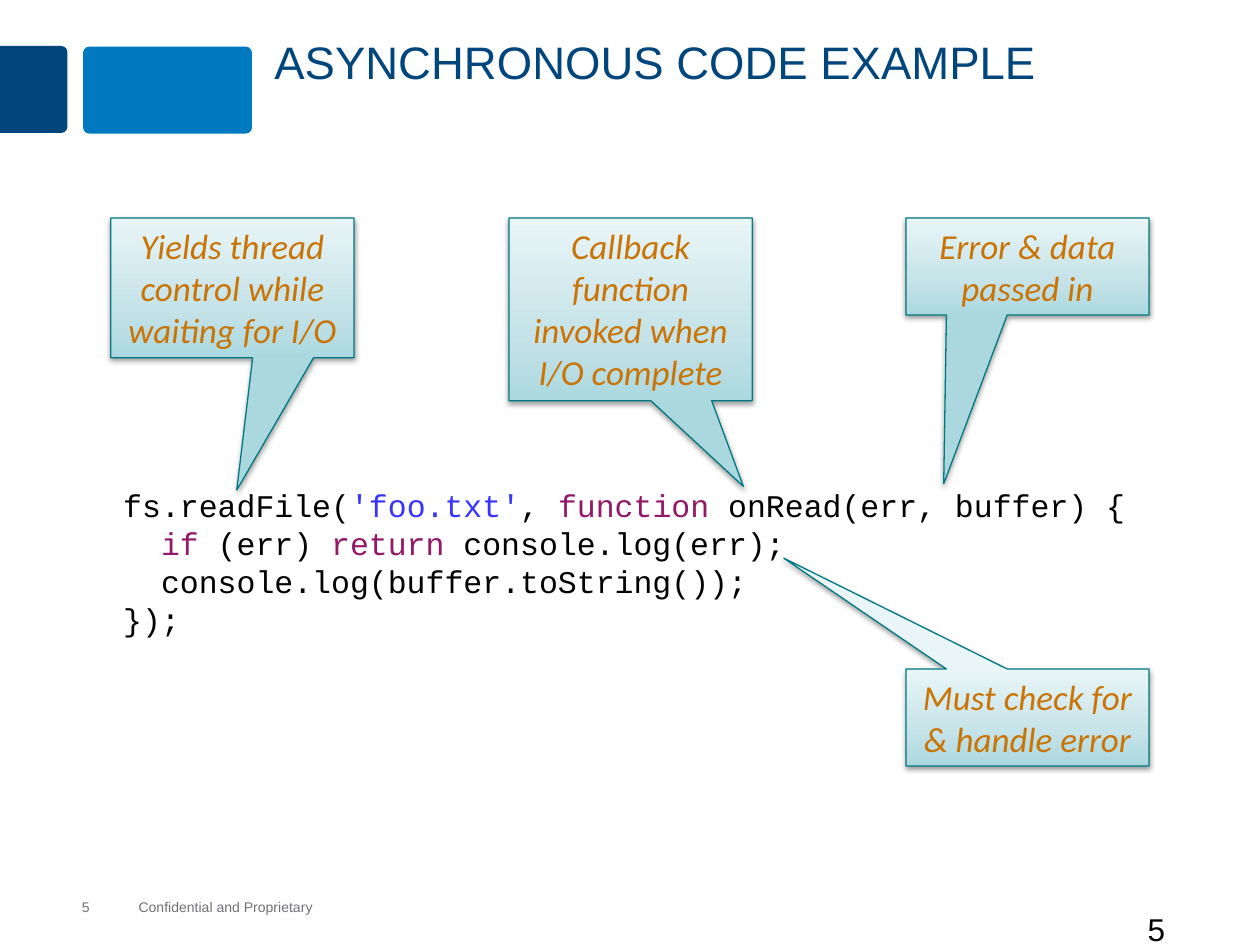
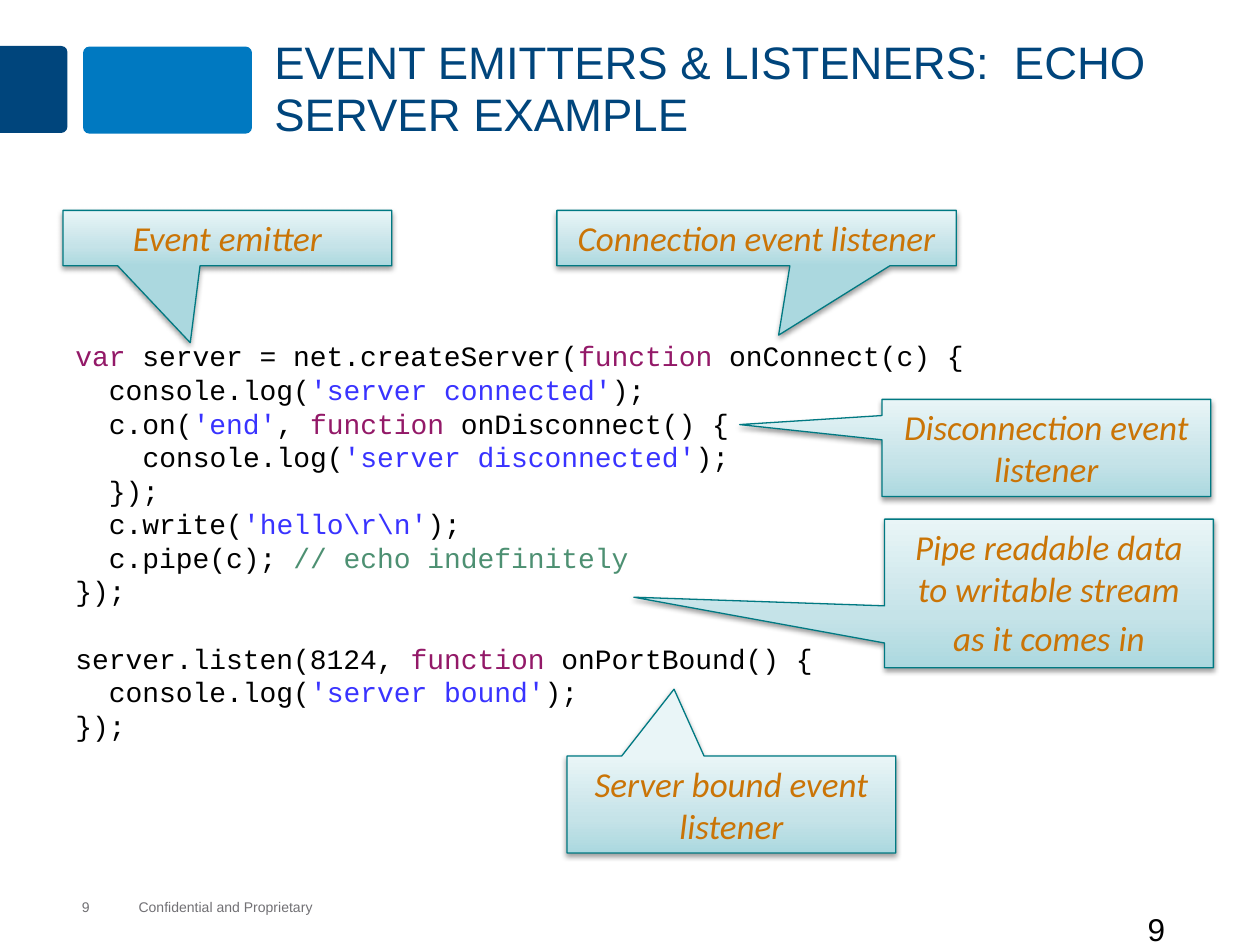
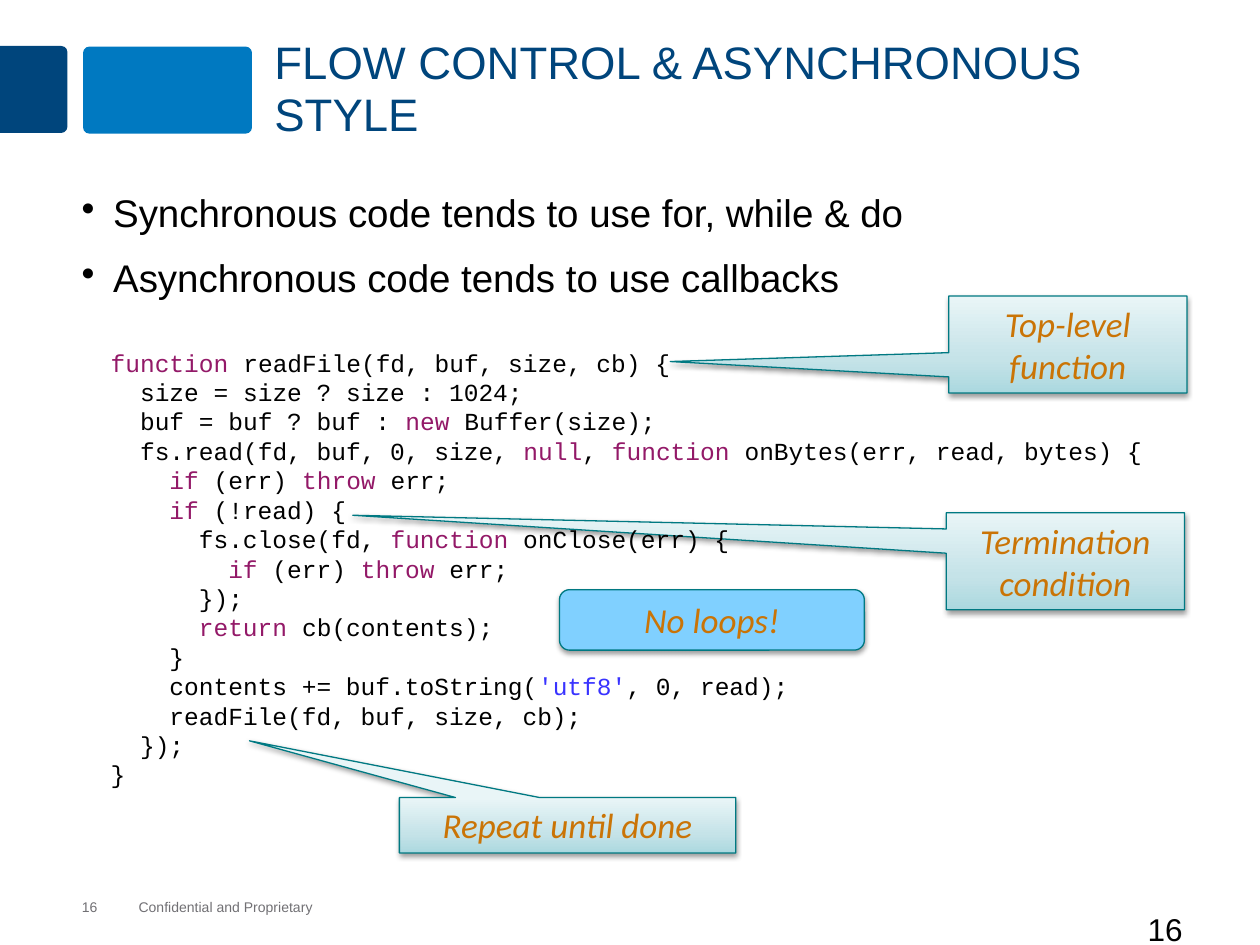
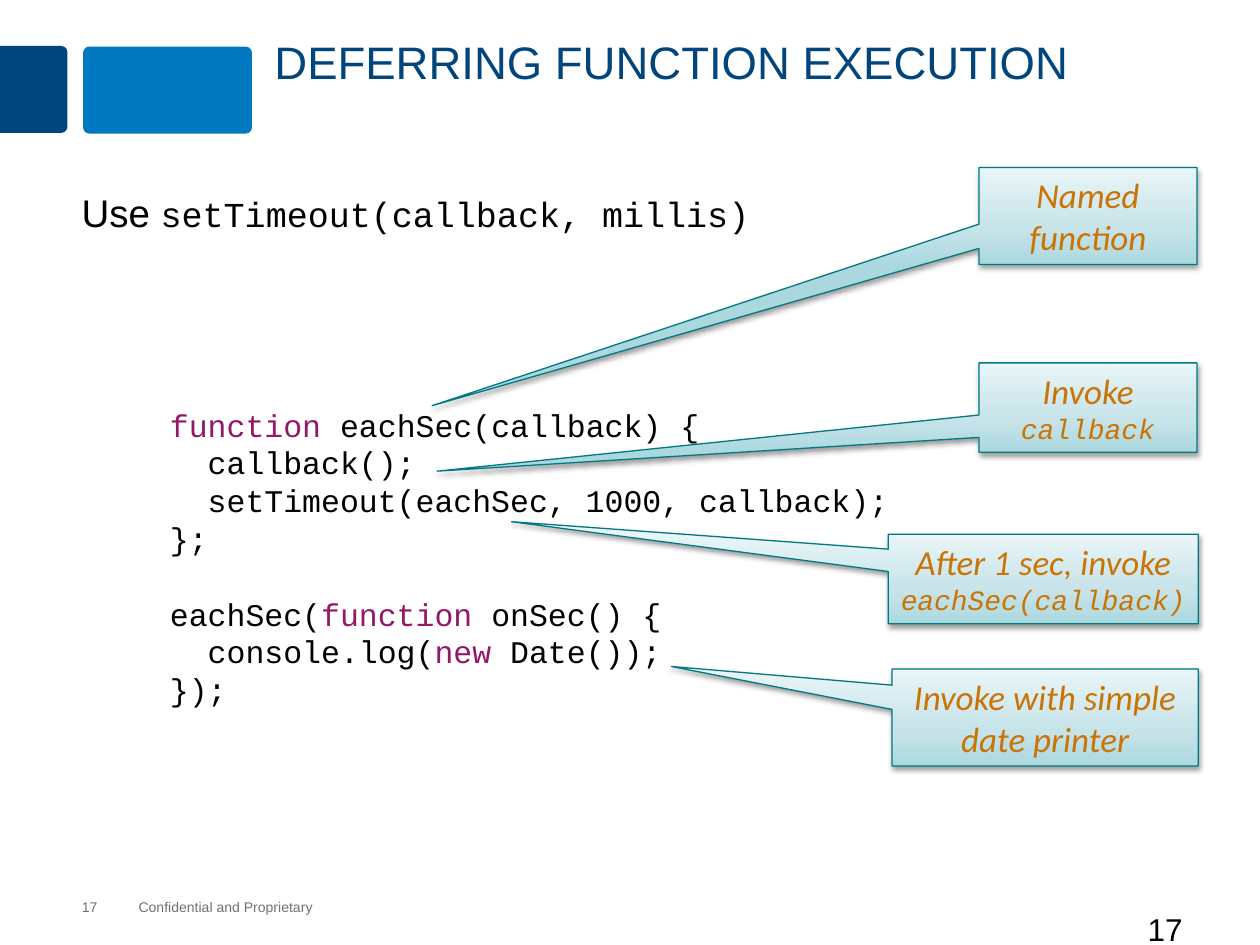
import copy
from dataclasses import dataclass

import pptx
import pptx.dml.color
import pptx.enum.shapes
import pptx.enum.text
import pptx.oxml
import pptx.oxml.ns
import pptx.util
from pptx.util import Inches

SHAPE = pptx.enum.shapes.MSO_SHAPE
ANCHOR = pptx.enum.text.MSO_ANCHOR
ALIGN = pptx.enum.text.PP_ALIGN
FIT = pptx.enum.text.MSO_AUTO_SIZE
qn = pptx.oxml.ns.qn

# Shared look
SANS, HAND, MONO = "Arial", "Calibri", "Courier New"
NAVY, BLUE, SKY, TEAL = "00457C", "0079C1", "80D0FF", "007982"
BLACK, GREY, ORANGE = "000000", "717074", "CA7406"
KEYWORD, STRING, COMMENT = "931968", "3933FF", "4D9072"
CALLOUT_STOPS = [(0, "ABD8DF"), (0.35, "C5E3E8"), (1, "E9F5F7")]
KEYWORDS = {"var", "function", "if", "return", "throw", "new", "null"}
LINE_FACTOR = 1.2   # line height of the code font, in ems
CHAR_FACTOR = 0.6   # character width of the code font, in ems


@dataclass
class Box:
    left: float
    top: float
    width: float
    height: float

    def lengths(self) -> list:
        return [Inches(v) for v in (self.left, self.top, self.width, self.height)]


@dataclass
class Callout:
    box: Box
    tip: tuple[float, float]
    paragraphs: list[str]  # odd pieces between bars are set as code


def rgb(value: str):
    return pptx.dml.color.RGBColor.from_string(value)


def add_run(p, text: str, *, size: float, font: str = SANS, color: str = BLACK,
            italic: bool = False) -> None:
    r = p.add_run()
    r.text = text
    r.font.size = pptx.util.Pt(size)
    r.font.name = font
    r.font.color.rgb = rgb(color)
    r.font.italic = italic or None


def new_paragraph(tf, first: bool):
    return tf.paragraphs[0] if first else tf.add_paragraph()


def text_frame(s, box: Box, *, wrap: bool = True, grow: bool = False):
    tf = s.shapes.add_textbox(*box.lengths()).text_frame
    tf.word_wrap = wrap
    tf.auto_size = FIT.SHAPE_TO_FIT_TEXT if grow else FIT.NONE
    return tf


# Frame of every slide
def add_block(s, kind, box: Box, color: str, *adjustments: float):
    sp = s.shapes.add_shape(kind, *box.lengths())
    sp.shadow.inherit = False
    sp.fill.solid()
    sp.fill.fore_color.rgb = rgb(color)
    sp.line.fill.background()
    for i, value in enumerate(adjustments):
        sp.adjustments[i] = value
    return sp


def add_footer(s, box: Box, text: str, wrap: bool) -> None:
    tf = text_frame(s, box, wrap=wrap, grow=True)
    tf.margin_left = tf.margin_right = tf.margin_top = tf.margin_bottom = 0
    tf.vertical_anchor = ANCHOR.MIDDLE
    add_run(tf.paragraphs[0], text, size=8, color=GREY)


def new_slide(prs, number: int, title: str):
    s = prs.slides.add_slide(prs.slide_layouts[6])
    tab = add_block(s, SHAPE.ROUND_2_SAME_RECTANGLE, Box(-0.08, 0.44, 0.69, 0.54),
                    NAVY, 0.09, 0)
    tab.rotation = 90
    add_block(s, SHAPE.ROUNDED_RECTANGLE, Box(0.66, 0.37, 1.34, 0.69), BLUE, 0.07)
    add_footer(s, Box(1.1, 7.13, 1.4, 0.13), "Confidential and Proprietary", False)
    add_footer(s, Box(0.65, 7.13, 0.63, 0.13), str(number), True)

    p = text_frame(s, Box(2.08, 0.25, 7.67, 0.91)).paragraphs[0]
    p.line_spacing = 0.95
    add_run(p, title, size=26, color=NAVY)
    p = text_frame(s, Box(9.01, 7.17, 0.99, 0.5)).paragraphs[0]
    add_run(p, str(number), size=18)
    return s


# Body text
def add_body(s, lines: list[str], bullets: bool) -> None:
    tf = text_frame(s, Box(0.55, 1.48, 8.87, 5.27))
    for n, line in enumerate(lines):
        p = new_paragraph(tf, n == 0)
        p.line_spacing = 0.95
        p.space_before = pptx.util.Pt(12)
        if bullets:
            pPr = p._p.get_or_add_pPr()
            pPr.set("marL", str(Inches(0.25)))
            pPr.set("indent", str(Inches(-0.25)))
            bullet = pptx.oxml.parse_xml(
                f'<a:buChar {pptx.oxml.ns.nsdecls("a")} char="\u2022"/>')
            pPr.append(bullet)
        for i, piece in enumerate(line.split("|")):
            add_run(p, piece, size=20 if i % 2 else 22, font=MONO if i % 2 else SANS)


# Code listings: bars part the tokens, an empty line becomes paragraph spacing
def token_color(token: str) -> str:
    if token.strip() in KEYWORDS:
        return KEYWORD
    if token.startswith("'"):
        return STRING
    return COMMENT if token.startswith("//") else BLACK


def add_code(s, box: Box, size: float, source: str) -> None:
    tf = text_frame(s, box, grow=True)
    gap = False
    for n, line in enumerate(source.strip().splitlines()):
        if not line:
            gap = True
            continue
        p = new_paragraph(tf, n == 0)
        if gap:
            p.space_before = pptx.util.Pt(LINE_FACTOR * size)
            gap = False
        code = line.lstrip(" ")
        depth = len(line) - len(code)
        if depth:
            margin = pptx.util.Pt(depth * CHAR_FACTOR * size)
            p._p.get_or_add_pPr().set("marL", str(margin))
        for token in filter(None, code.split("|")):
            add_run(p, token, size=size, font=MONO, color=token_color(token))


# Notes on the code
def style_note(sp, paragraphs: list[str]) -> None:
    sp.line.color.rgb = rgb(TEAL)
    sp.line.width = pptx.util.Pt(0.75)
    sp.shadow.inherit = False
    effects = sp.element.spPr.find(qn("a:effectLst"))
    effects.append(pptx.oxml.parse_xml(
        f'<a:outerShdw {pptx.oxml.ns.nsdecls("a")} blurRad="{pptx.util.Pt(3.1)}" '
        f'dist="{pptx.util.Pt(1.6)}" dir="5400000" rotWithShape="0">'
        f'<a:srgbClr val="{BLACK}"><a:alpha val="38000"/></a:srgbClr></a:outerShdw>'))
    tf = sp.text_frame
    tf.word_wrap = True
    tf.auto_size = FIT.SHAPE_TO_FIT_TEXT
    tf.vertical_anchor = ANCHOR.TOP
    for n, text in enumerate(paragraphs):
        p = new_paragraph(tf, n == 0)
        p.alignment = ALIGN.CENTER
        p.space_before = pptx.util.Pt(4)
        for i, piece in enumerate(text.split("|")):
            add_run(p, piece, size=16 if i % 2 else 20, font=MONO if i % 2 else HAND,
                    color=ORANGE, italic=True)


def add_callout(s, c: Callout) -> None:
    box = c.box
    sp = s.shapes.add_shape(SHAPE.RECTANGULAR_CALLOUT, *box.lengths())
    # The tip is held as an offset from the centre, in parts of the size
    sp.adjustments[0] = (c.tip[0] - box.left) / box.width - 0.5
    sp.adjustments[1] = (c.tip[1] - box.top) / box.height - 0.5
    sp.fill.gradient()
    sp.fill.gradient_angle = 90
    stops = sp.element.spPr.find(".//" + qn("a:gsLst"))
    stops.insert(1, copy.deepcopy(stops[0]))
    for stop, (position, color) in zip(sp.fill.gradient_stops, CALLOUT_STOPS):
        stop.position = position
        stop.color.rgb = rgb(color)
    style_note(sp, c.paragraphs)


def add_callouts(s, callouts: list[Callout]) -> None:
    for c in callouts:
        add_callout(s, c)


prs = pptx.Presentation()
prs.slide_width, prs.slide_height = Inches(10), Inches(7.5)

# Asynchronous code
s = new_slide(prs, 5, "ASYNCHRONOUS CODE EXAMPLE")
add_callouts(s, [
    Callout(Box(0.88, 1.73, 1.93, 1.11), (1.88, 3.89),
            ["Yields thread control while waiting for I/O"]),
    Callout(Box(4.04, 1.73, 1.93, 1.45), (5.9, 3.86),
            ["Callback function invoked when I/O complete"]),
    Callout(Box(7.19, 1.73, 1.93, 0.77), (7.49, 3.84), ["Error & data passed in"]),
])
add_code(s, Box(0.88, 3.81, 8.23, 1.49), 18, """
fs.readFile(|'foo.txt'|, |function |onRead(err, buffer) {
  |if| (err) |return |console.log(err);
  console.log(buffer.toString());
});
""")
add_callout(s, Callout(Box(7.19, 5.31, 1.93, 0.77), (6.22, 4.43),
                       ["Must check for & handle error"]))

# Event emitters
s = new_slide(prs, 9, "EVENT EMITTERS & LISTENERS:  ECHO SERVER EXAMPLE")
add_callout(s, Callout(Box(7, 3.17, 2.61, 0.77), (5.87, 3.37),
                       ["Disconnection event listener"]))
add_code(s, Box(0.5, 2.64, 8.35, 3.92), 16, r"""
var| server = net.createServer(|function |onConnect(c) {
  console.log(|'server connected'|);
  c.on(|'end'|, |function |onDisconnect() {
    console.log(|'server disconnected'|);
  });
  c.write(|'hello\r\n'|);
  c.pipe(c); |// echo indefinitely
});

server.listen(8124, |function |onPortBound() {
  console.log(|'server bound'|);
});
""")
add_callouts(s, [
    Callout(Box(4.42, 1.67, 3.17, 0.44), (6.18, 2.66), ["Connection event listener"]),
    Callout(Box(7.02, 4.12, 2.61, 1.18), (5.03, 4.74),
            ["Pipe readable data to writable stream", "as it comes in"]),
    Callout(Box(0.5, 1.67, 2.61, 0.44), (1.51, 2.72), ["Event emitter"]),
    Callout(Box(4.5, 6, 2.61, 0.77), (5.35, 5.47), ["Server bound event listener"]),
])

# Flow control
s = new_slide(prs, 16, "FLOW CONTROL & ASYNCHRONOUS STYLE")
add_callout(s, Callout(Box(7.51, 4.07, 1.89, 0.77), (2.8, 4.09),
                       ["Termination condition"]))
add_body(s, ["Synchronous code tends to use for, while & do",
             "Asynchronous code tends to use callbacks"], bullets=True)
add_code(s, Box(0.78, 2.71, 8.45, 4.29), 14, """
function |readFile(fd, buf, size, cb) {
  size = size ? size : 1024;
  buf = buf ? buf : |new| Buffer(size);
  fs.read(fd, buf, 0, size, |null|, |function |onBytes(err, read, bytes) {
    |if| (err) |throw| err;
    |if| (!read) {
      fs.close(fd, |function |onClose(err) {
        |if| (err) |throw| err;
      });
      |return |cb(contents);
    }
    contents += buf.toString(|'utf8'|, 0, read);
    readFile(fd, buf, size, cb);
  });
}
""")
add_callouts(s, [
    Callout(Box(7.53, 2.35, 1.89, 0.77), (5.32, 2.87), ["Top-level function"]),
    Callout(Box(3.17, 6.33, 2.67, 0.44), (1.98, 5.88), ["Repeat until done"]),
])
no_loops = add_block(s, SHAPE.ROUNDED_RECTANGLE, Box(4.44, 4.68, 2.42, 0.48), SKY)
style_note(no_loops, ["No loops!"])

# Deferred execution
s = new_slide(prs, 17, "DEFERRING FUNCTION EXECUTION")
add_body(s, ["Use |setTimeout(callback, millis)"], bullets=False)
add_code(s, Box(1.25, 3.17, 6.58, 2.52), 18, """
function |eachSec(callback) {
  callback();
  setTimeout(eachSec, 1000, callback);
};

eachSec(|function |onSec() {
  console.log(|new| Date());
});
""")
add_callouts(s, [
    Callout(Box(7.77, 1.33, 1.73, 0.77), (3.43, 3.22), ["Named function"]),
    Callout(Box(7.77, 2.88, 1.73, 0.71), (3.47, 3.74), ["Invoke |callback"]),
    Callout(Box(7.05, 4.24, 2.46, 0.71), (4.06, 4.14),
            ["After 1 sec, invoke |eachSec(callback)"]),
    Callout(Box(7.08, 5.31, 2.43, 0.77), (5.33, 5.29),
            ["Invoke with simple date printer"]),
])

prs.save("out.pptx")
